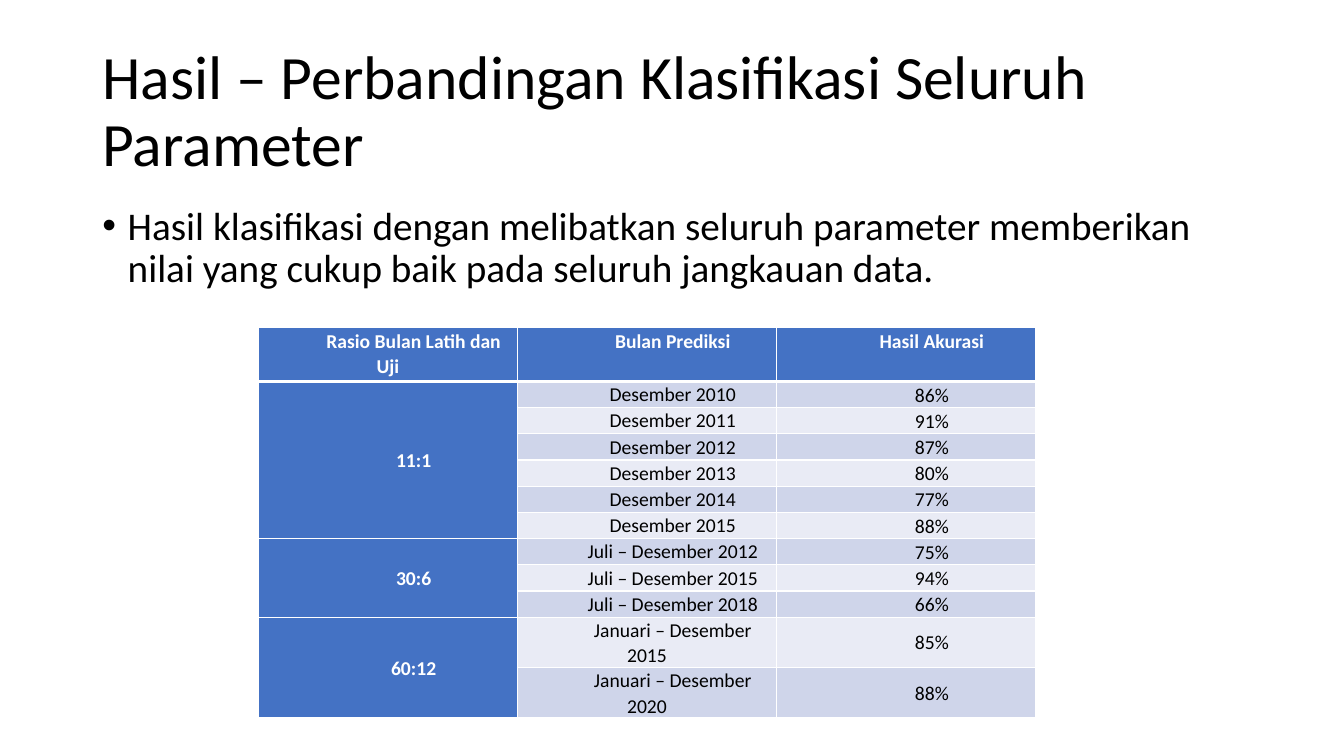
from lxml.etree import SubElement as Sub
from pptx import Presentation
from pptx.dml.color import RGBColor
from pptx.enum.text import MSO_ANCHOR as Anchor, PP_ALIGN as Align
from pptx.oxml.ns import qn
from pptx.util import Cm, Pt

BLACK = RGBColor(0x00, 0x00, 0x00)
WHITE = RGBColor(0xFF, 0xFF, 0xFF)
BLUE = RGBColor(0x44, 0x72, 0xC4)
BANDS = RGBColor(0xCF, 0xD5, 0xEA), RGBColor(0xE9, 0xEB, 0xF5)

HEADS = ["Rasio Bulan Latih dan Uji", "Bulan Prediksi", "Hasil Akurasi"]
GROUPS = {
    "11:1": [("Desember 2010", "86%"), ("Desember 2011", "91%"),
             ("Desember 2012", "87%"), ("Desember 2013", "80%"),
             ("Desember 2014", "77%"), ("Desember 2015", "88%")],
    "30:6": [("Juli – Desember 2012", "75%"), ("Juli – Desember 2015", "94%"),
             ("Juli – Desember 2018", "66%")],
    "60:12": [("Januari – Desember 2015", "85%"),
              ("Januari – Desember 2020", "88%")],
}


def write(frame, text, size, color, bold=False, left=0, first=0, **form):
    """Fill the frame with one paragraph; left and first are its indents."""
    para = frame.paragraphs[0]
    run = para.add_run()
    run.text = text
    for name, value in dict(name="Calibri", size=Pt(size), bold=bold).items():
        setattr(run.font, name, value)
    run.font.color.rgb = color
    for name, value in form.items():
        setattr(para, name, value)
    props = para._p.get_or_add_pPr()
    props.set("marL", str(Cm(left)))
    props.set("indent", str(Cm(first)))
    return props


def edge(cell, side, width):
    """Draw a white border on one side of the cell."""
    line = Sub(cell._tc.get_or_add_tcPr(), qn("a:ln" + side), w=str(Pt(width)))
    Sub(Sub(line, qn("a:solidFill")), qn("a:srgbClr"), val=str(WHITE))


deck = Presentation()
deck.slide_width, deck.slide_height = Cm(33.87), Cm(19.05)
slide = deck.slides.add_slide(deck.slide_layouts[6])

# Title and bullet
title = slide.shapes.add_textbox(Cm(2.33), Cm(1.01), Cm(29.21), Cm(3.68)).text_frame
title.word_wrap = True
title.vertical_anchor = Anchor.MIDDLE
write(title, "Hasil – Perbandingan Klasifikasi Seluruh Parameter", 44, BLACK,
      line_spacing=0.9)

body = slide.shapes.add_textbox(Cm(2.33), Cm(5.07), Cm(29.21), Cm(12.09)).text_frame
body.word_wrap = True
props = write(body, "Hasil klasifikasi dengan melibatkan seluruh parameter "
              "memberikan nilai yang cukup baik pada seluruh jangkauan data.",
              28, BLACK, left=0.64, first=-0.64, line_spacing=0.9,
              space_before=Pt(10))
Sub(props, qn("a:buFont"), typeface="Arial")
Sub(props, qn("a:buChar"), char="•")

# Table: each ratio stands only in the first row of its group
rows = [HEADS]
for ratio, months in GROUPS.items():
    for num, pair in enumerate(months):
        rows.append([ratio if num == 0 else "", *pair])

grid = slide.shapes.add_table(len(rows), 3, Cm(6.51), Cm(8.26),
                              Cm(19.59), Cm(8.61)).table
for col in grid.columns:
    col.width = Cm(6.53)
for r, row in enumerate(rows):
    grid.rows[r].height = Cm(0.66 if r else 1.35)
    for c, text in enumerate(row):
        cell = grid.cell(r, c)
        for side in "LRTB":
            thick = (r, side) in ((0, "B"), (1, "T"))
            edge(cell, side, 3 if thick else 1)
        strong = r == 0 or c == 0
        cell.fill.solid()
        # The last group begins on the light band, as the rows alternate
        cell.fill.fore_color.rgb = BLUE if strong else BANDS[(r - 1) % 2]
        middle = r > 0 and c != 1
        form = dict(margin_left=Cm(0.19), margin_right=Cm(0.19),
                    margin_top=0, margin_bottom=0,
                    vertical_anchor=Anchor.MIDDLE if middle else Anchor.TOP)
        for name, value in form.items():
            setattr(cell, name, value)
        if text:
            write(cell.text_frame, text, 14, WHITE if strong else BLACK, strong,
                  first=1.3, alignment=Align.CENTER, line_spacing=1.07)

top = 1
for months in GROUPS.values():
    end = top + len(months)
    grid.cell(top, 0).merge(grid.cell(end - 1, 0))
    top = end

deck.save("out.pptx")
